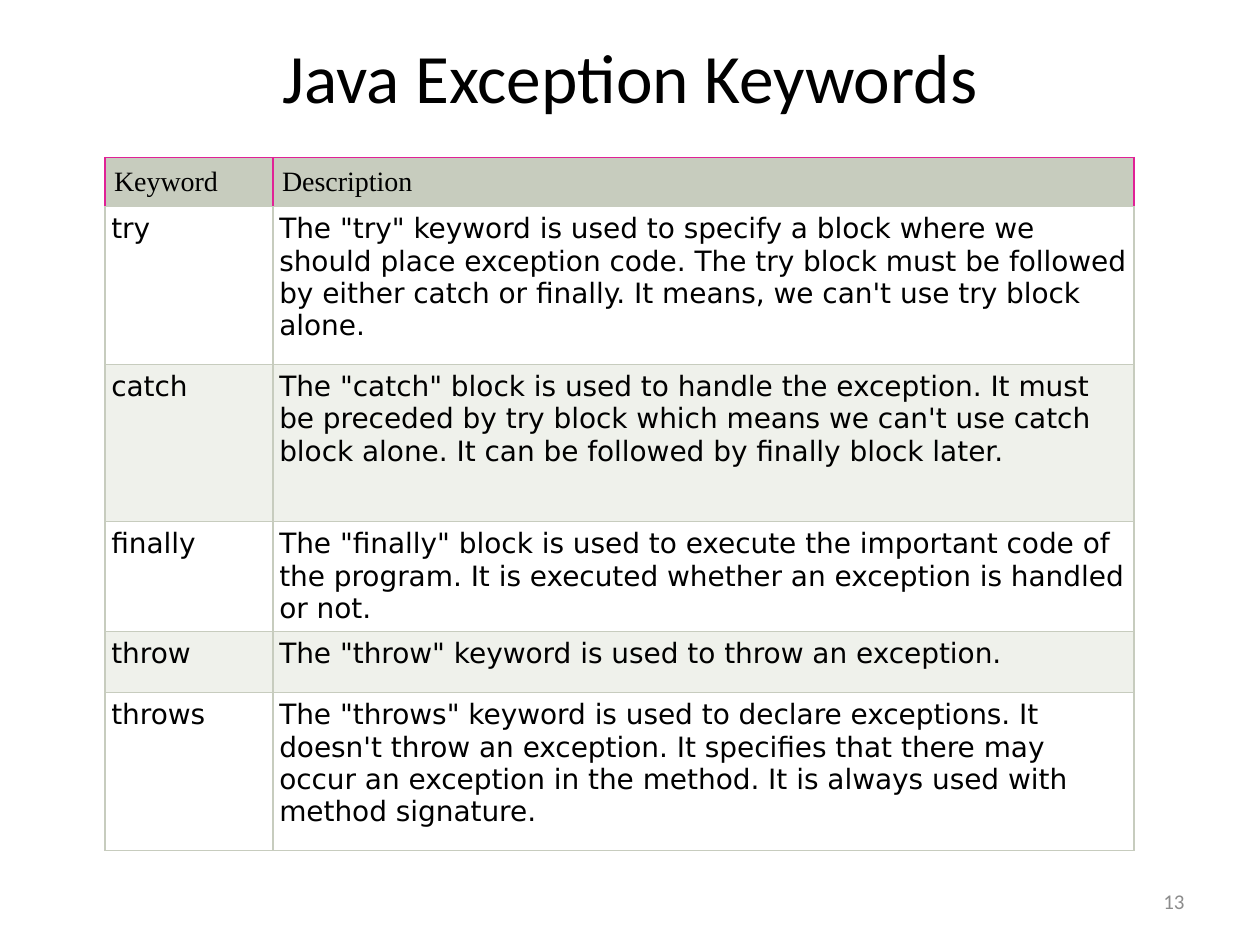
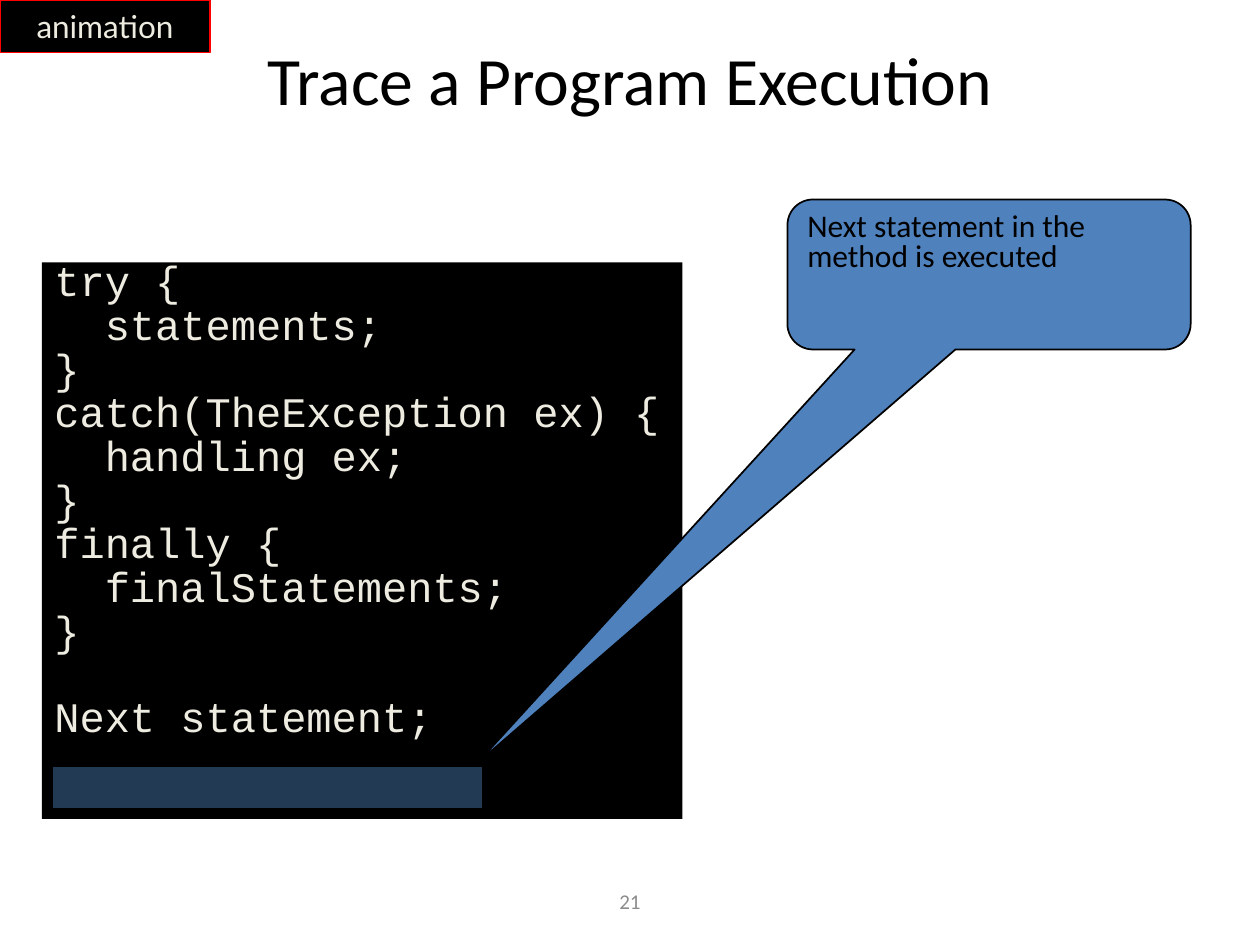
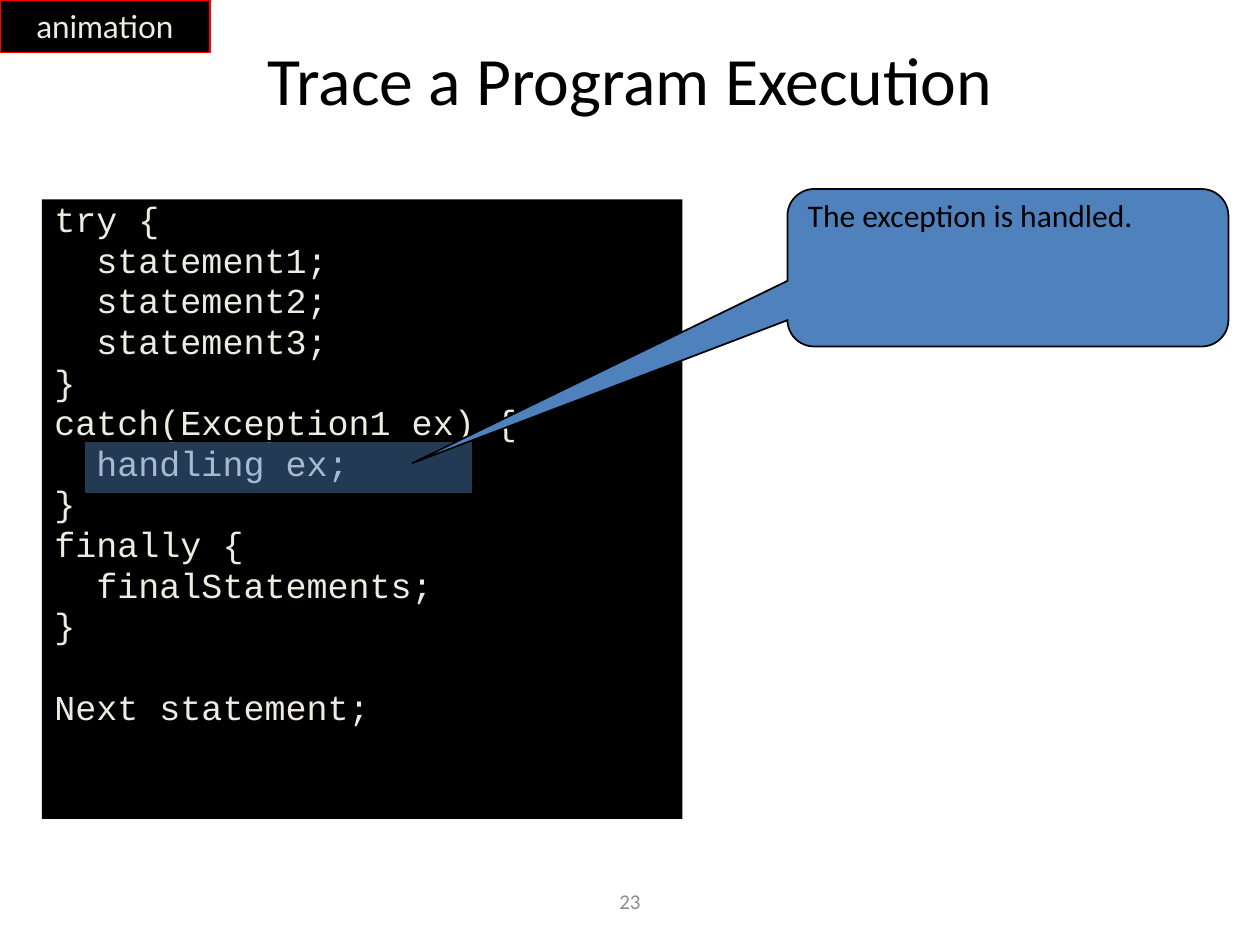
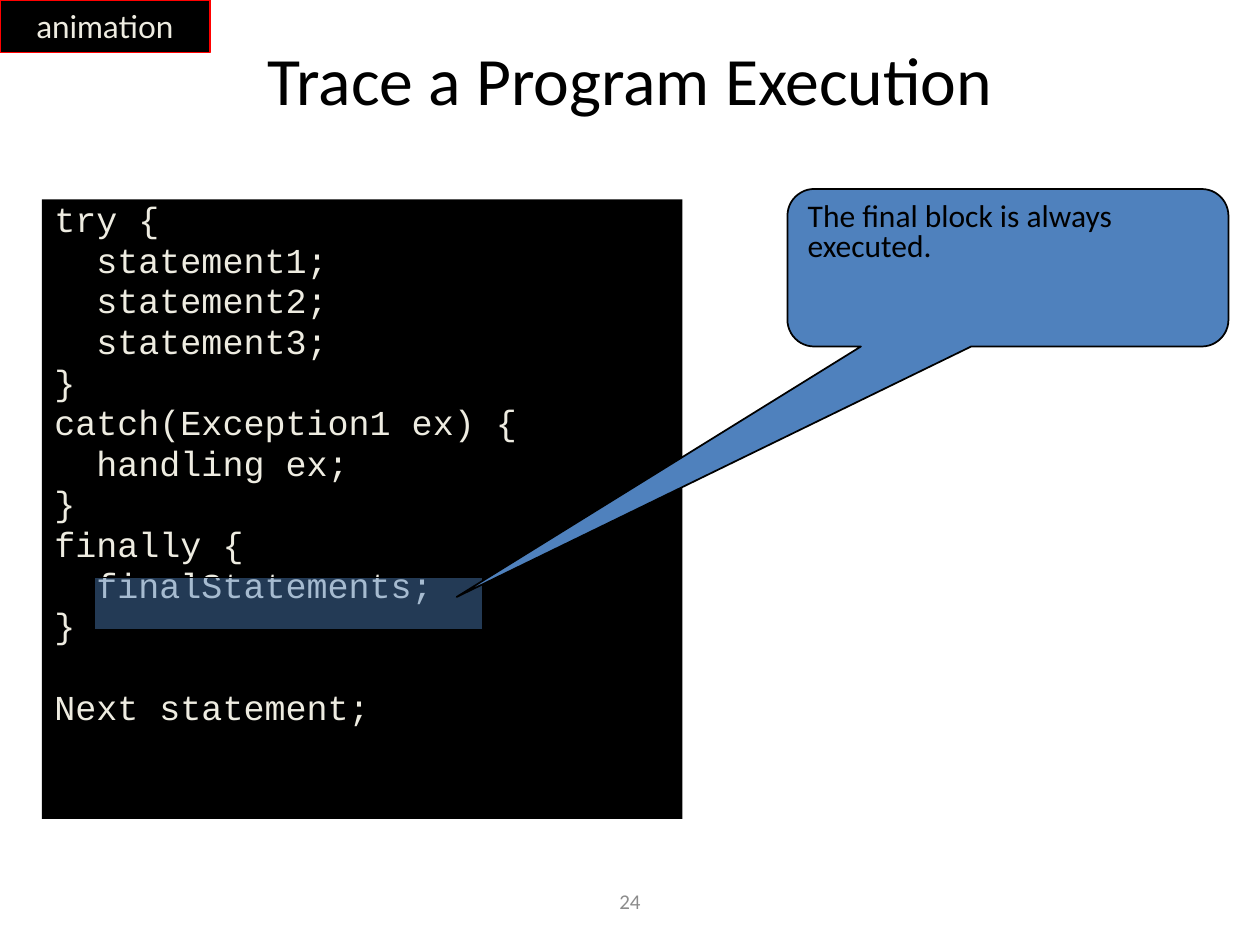
from lxml import etree
from pptx import Presentation
from pptx.dml.color import RGBColor
from pptx.enum import shapes, text
from pptx.oxml import ns
from pptx.util import Pt

BLACK = RGBColor(0x00, 0x00, 0x00)
WHITE = RGBColor(0xFF, 0xFF, 0xFF)
CREAM = RGBColor(0xEE, 0xEC, 0xE1)
BLUE = RGBColor(0x4F, 0x81, 0xBD)
RED = RGBColor(0xFF, 0x00, 0x00)
GREY = RGBColor(0x8C, 0x8C, 0x8C)
SAGE = RGBColor(0xC7, 0xCC, 0xBE)
PALE_SAGE = RGBColor(0xEF, 0xF1, 0xEB)
PINK = RGBColor(0xE0, 0x21, 0x96)

LEFT, CENTER, RIGHT = text.PP_ALIGN.LEFT, text.PP_ALIGN.CENTER, text.PP_ALIGN.RIGHT
TOP, MIDDLE = text.MSO_ANCHOR.TOP, text.MSO_ANCHOR.MIDDLE
RECT = shapes.MSO_SHAPE.RECTANGLE
CALLOUT = shapes.MSO_SHAPE.ROUNDED_RECTANGULAR_CALLOUT

KEYWORDS = [
    ("Keyword", "Description"),
    ("try", "The \"try\" keyword is used to specify a block where we should place "
            "exception code. The try block must be followed by either catch or "
            "finally. It means, we can't use try block alone."),
    ("catch", "The \"catch\" block is used to handle the exception. It must be "
              "preceded by try block which means we can't use catch block alone. "
              "It can be followed by finally block later."),
    ("finally", "The \"finally\" block is used to execute the important code of the "
                "program. It is executed whether an exception is handled or not."),
    ("throw", "The \"throw\" keyword is used to throw an exception."),
    ("throws", "The \"throws\" keyword is used to declare exceptions. It doesn't "
               "throw an exception. It specifies that there may occur an exception "
               "in the method. It is always used with method signature."),
]
COLUMN_WIDTHS = (96, 492)
ROW_HEIGHTS = (25.2, 90, 90, 62, 35, 90)

ENDING = ["}", "finally {", "  finalStatements;", "}", "", "Next statement;"]
SHORT_CODE = ["try {", "  statements;", "}", "catch(TheException ex) {",
              "  handling ex;"] + ENDING
LONG_CODE = ["try {", "  statement1;", "  statement2;", "  statement3;", "}",
             "catch(Exception1 ex) {", "  handling ex;"] + ENDING

# size, line spacing, height of a blank line
SHORT_STYLE = (24, 0.7, 24.6)
LONG_STYLE = (20, 0.8, 23.3)

TRACES = [
    dict(number=21, code=SHORT_CODE, style=SHORT_STYLE, code_box=(24, 150, 366, 318),
         note="Next statement in the method is executed",
         note_box=(450, 114, 230.4, 85.7), tip=(-1.27, 3.26),
         highlight=(30, 438, 246, 24), highlight_on_top=True),
    dict(number=23, code=LONG_CODE, style=LONG_STYLE, code_box=(24, 114, 366, 354),
         note="The exception is handled.",
         note_box=(450, 108, 252, 90), tip=(-1.35, 1.24),
         highlight=(48, 252, 222, 30), highlight_on_top=False),
    dict(number=24, code=LONG_CODE, style=LONG_STYLE, code_box=(24, 114, 366, 354),
         note="The final block is always executed.",
         note_box=(450, 108, 252, 90), tip=(-1.25, 2.09),
         highlight=(54, 330, 222, 30), highlight_on_top=False),
]


def points(values):
    return [Pt(v) for v in values]


def set_font(p, name, size, color):
    p.font.name, p.font.size, p.font.color.rgb = name, Pt(size), color


def write_line(tf, words, name, size, color, align, anchor=MIDDLE):
    tf.vertical_anchor = anchor
    p = tf.paragraphs[0]
    p.text, p.alignment = words, align
    set_font(p, name, size, color)
    return p


def new_slide(prs, title, box, size, anchor=MIDDLE):
    s = prs.slides.add_slide(prs.slide_layouts[5])
    sp = s.shapes.title
    sp.left, sp.top, sp.width, sp.height = points(box)
    tf = sp.text_frame
    tf.auto_size = text.MSO_AUTO_SIZE.NONE
    tf.margin_top = tf.margin_bottom = 0
    write_line(tf, title, "Calibri", size, BLACK, CENTER, anchor)
    return s


def add_number(s, number, left, width, align):
    tf = s.shapes.add_textbox(*points((left, 500.4, width, 28.8))).text_frame
    tf.word_wrap = True
    write_line(tf, str(number), "Calibri", 12, GREY, align)


def add_block(s, kind, box, fill, line=None):
    sp = s.shapes.add_shape(kind, *points(box))
    sp.shadow.inherit = False
    sp.fill.solid()
    sp.fill.fore_color.rgb = fill
    if line is None:
        sp.line.fill.background()
    else:
        sp.line.color.rgb, sp.line.width = line, Pt(1)
    return sp


def add_code(s, lines, box, style):
    """Write code lines; an empty line becomes space before the next one."""
    size, spacing, blank = style
    tf = add_block(s, RECT, box, BLACK).text_frame
    tf.vertical_anchor = TOP
    p, gap = tf.paragraphs[0], 0
    for i, line in enumerate(lines):
        if not line:
            gap += blank
            continue
        if i:
            p = tf.add_paragraph()
            p.space_before = Pt(0.2 * size + gap)
            gap = 0
        p.text, p.alignment, p.line_spacing = line, LEFT, spacing
        pPr = p._p.get_or_add_pPr()
        pPr.set("marL", str(Pt(27)))
        pPr.set("indent", str(Pt(-27)))
        set_font(p, "Courier New", size, CREAM)


def add_note(s, words, box, tip):
    sp = add_block(s, CALLOUT, box, BLUE, BLACK)
    for i, value in enumerate((*tip, 0.17)):
        sp.adjustments[i] = value
    p = write_line(sp.text_frame, words, "Calibri", 18, BLACK, LEFT, TOP)
    p.line_spacing = 0.8


def add_highlight(s, box):
    sp = add_block(s, RECT, box, BLUE, BLACK)
    color = sp.fill._xPr.find(ns.qn("a:solidFill"))[0]
    etree.SubElement(color, ns.qn("a:alpha")).set("val", "45000")


def set_borders(cell, left, right, top, bottom):
    tcPr = cell._tc.get_or_add_tcPr()
    for side, color in zip("LRTB", (left, right, top, bottom)):
        ln = etree.SubElement(tcPr, ns.qn("a:ln" + side), w=str(Pt(0.75)))
        fill = etree.SubElement(ln, ns.qn("a:solidFill"))
        etree.SubElement(fill, ns.qn("a:srgbClr"), val=str(color))


def add_keyword_table(s):
    box = (60, 90, sum(COLUMN_WIDTHS), sum(ROW_HEIGHTS))
    table = s.shapes.add_table(len(KEYWORDS), len(COLUMN_WIDTHS), *points(box)).table
    table.first_row = table.horz_banding = False
    for column, width in zip(table.columns, COLUMN_WIDTHS):
        column.width = Pt(width)
    for r, (row, height) in enumerate(zip(KEYWORDS, ROW_HEIGHTS)):
        table.rows[r].height = Pt(height)
        if r == 0:
            fill, edge, font, inset = SAGE, PINK, "Times New Roman", 5.2
        else:
            fill = WHITE if r % 2 else PALE_SAGE
            edge, font, inset = SAGE, "DejaVu Sans", 3.6
        for c, words in enumerate(row):
            cell = table.cell(r, c)
            set_borders(cell, edge, edge, edge, SAGE)
            cell.fill.solid()
            cell.fill.fore_color.rgb = fill
            cell.margin_left = cell.margin_right = Pt(inset)
            cell.margin_top = cell.margin_bottom = Pt(inset)
            write_line(cell.text_frame, words, font, 16, BLACK, LEFT, TOP)
            cell.vertical_anchor = TOP


def add_trace_slide(prs, trace):
    s = new_slide(prs, "Trace a Program Execution", (54, 24, 612, 42), 38.7)
    add_number(s, trace["number"], 246, 228, CENTER)
    tag = add_block(s, RECT, (0, 0, 120, 30), BLACK, RED)
    tag.text_frame.word_wrap = False
    write_line(tag.text_frame, "animation", "Lato", 18, CREAM, CENTER)
    add_code(s, trace["code"], trace["code_box"], trace["style"])
    if not trace["highlight_on_top"]:
        add_highlight(s, trace["highlight"])
    add_note(s, trace["note"], trace["note_box"], trace["tip"])
    if trace["highlight_on_top"]:
        add_highlight(s, trace["highlight"])


def main():
    prs = Presentation()
    prs.slide_width, prs.slide_height = Pt(720), Pt(540)
    s = new_slide(prs, "Java Exception Keywords", (36, 19.5, 648, 90), 39.6, TOP)
    add_keyword_table(s)
    add_number(s, 13, 516, 168, RIGHT)
    for trace in TRACES:
        add_trace_slide(prs, trace)
    prs.save("out.pptx")


if __name__ == "__main__":
    main()
